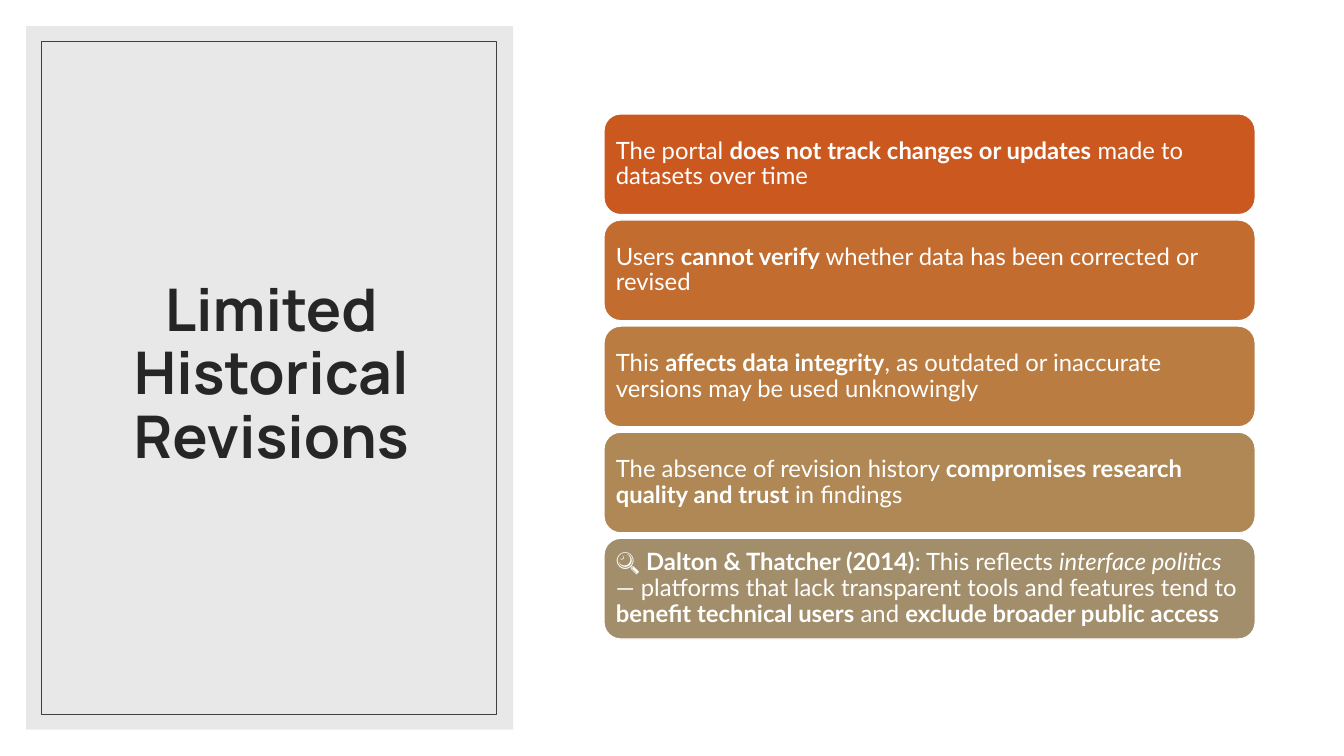
import pptx
import pptx.util
import pptx.dml.color
import pptx.enum.shapes
import pptx.enum.text
from lxml import etree
from pptx.oxml.ns import qn

TITLE = "Limited Historical Revisions"
# Each card: fill name, then (text, style) runs; b = bold, i = italic
CARDS = [
    ("rust", [("The portal ", ""), ("does not track changes or updates", "b"),
              (" made to datasets over time", "")]),
    ("amber", [("Users ", ""), ("cannot verify", "b"),
               (" whether data has been corrected or revised", "")]),
    ("ochre", [("This ", ""), ("affects data integrity", "b"),
               (", as outdated or inaccurate versions may be used unknowingly", "")]),
    ("sand", [("The absence of revision history ", ""),
              ("compromises research quality and trust", "b"), (" in findings", "")]),
    ("khaki", [("🔍 ", ""), ("Dalton & Thatcher (2014)", "b"), (": This reflects ", ""),
               ("interface politics", "i"),
               (" — platforms that lack transparent tools and features tend to ", ""),
               ("benefit technical users", "b"), (" and ", ""),
               ("exclude broader public access", "b")]),
]
COLORS = {"white": "FFFFFF", "panel": "D9D9D9", "frame": "404040", "title": "262626",
          "rust": "CB581F", "amber": "C36C2F", "ochre": "BA7C41",
          "sand": "AF8855", "khaki": "A28E6A"}

PX = 9144  # EMU per px, 100 px to the inch
PANEL = (26, 26, 483, 698)
FRAME = (41, 41, 451, 668)
HEAD = (63, 61, 412, 624)
LEFT, WIDE, HIGH = 599, 646, 100
FIRST, LAST = 113, 534  # tops of the first and last card
INSET = 7

KIND = pptx.enum.shapes.MSO_SHAPE
ALIGN = pptx.enum.text.PP_ALIGN
MIDDLE = pptx.enum.text.MSO_ANCHOR.MIDDLE


def emu(box):
    return [round(v * PX) for v in box]


def color(name):
    return pptx.dml.color.RGBColor.from_string(COLORS[name])


def add_box(slide, kind, box, fill=None, line=None, width=1):
    shape = slide.shapes.add_shape(kind, *emu(box))
    shape.shadow.inherit = False
    if fill:
        shape.fill.solid()
        shape.fill.fore_color.rgb = color(fill)
    else:
        shape.fill.background()
    if line:
        shape.line.color.rgb = color(line)
        shape.line.width = pptx.util.Pt(width)
    else:
        shape.line.fill.background()
    return shape


def set_text(shape, runs, align, face, size, ink):
    frame = shape.text_frame
    frame.word_wrap = True
    frame.vertical_anchor = MIDDLE
    para = frame.paragraphs[0]
    para.alignment = align
    para.line_spacing = 0.9
    para.font.name = face
    para.font.size = pptx.util.Pt(size)
    para.font.color.rgb = color(ink)
    for text, style in runs:
        run = para.add_run()
        run.text = text
        if "b" in style:
            run.font.bold = True
        if "i" in style:
            run.font.italic = True
    return frame


def main():
    deck = pptx.Presentation()
    deck.slide_width, deck.slide_height = emu((1333, 750))
    slide = deck.slides.add_slide(deck.slide_layouts[6])

    panel = add_box(slide, KIND.RECTANGLE, PANEL, "panel")
    tint = panel.fill._xPr.find(".//" + qn("a:srgbClr"))
    etree.SubElement(tint, qn("a:alpha"), val="60000")
    head = slide.shapes.add_textbox(*emu(HEAD))
    set_text(head, [(TITLE, "b")], ALIGN.CENTER, "Manrope", 42, "title")
    add_box(slide, KIND.RECTANGLE, FRAME, line="frame", width=0.5)

    step = (LAST - FIRST) / (len(CARDS) - 1)
    for i, (fill, runs) in enumerate(CARDS):
        box = (LEFT, FIRST + i * step, WIDE, HIGH)
        card = add_box(slide, KIND.ROUNDED_RECTANGLE, box, fill, "white")
        frame = set_text(card, runs, ALIGN.LEFT, "Lato", 17, "white")
        frame.margin_left = frame.margin_right = INSET * PX
        frame.margin_top = frame.margin_bottom = INSET * PX

    deck.save("out.pptx")


if __name__ == "__main__":
    main()
